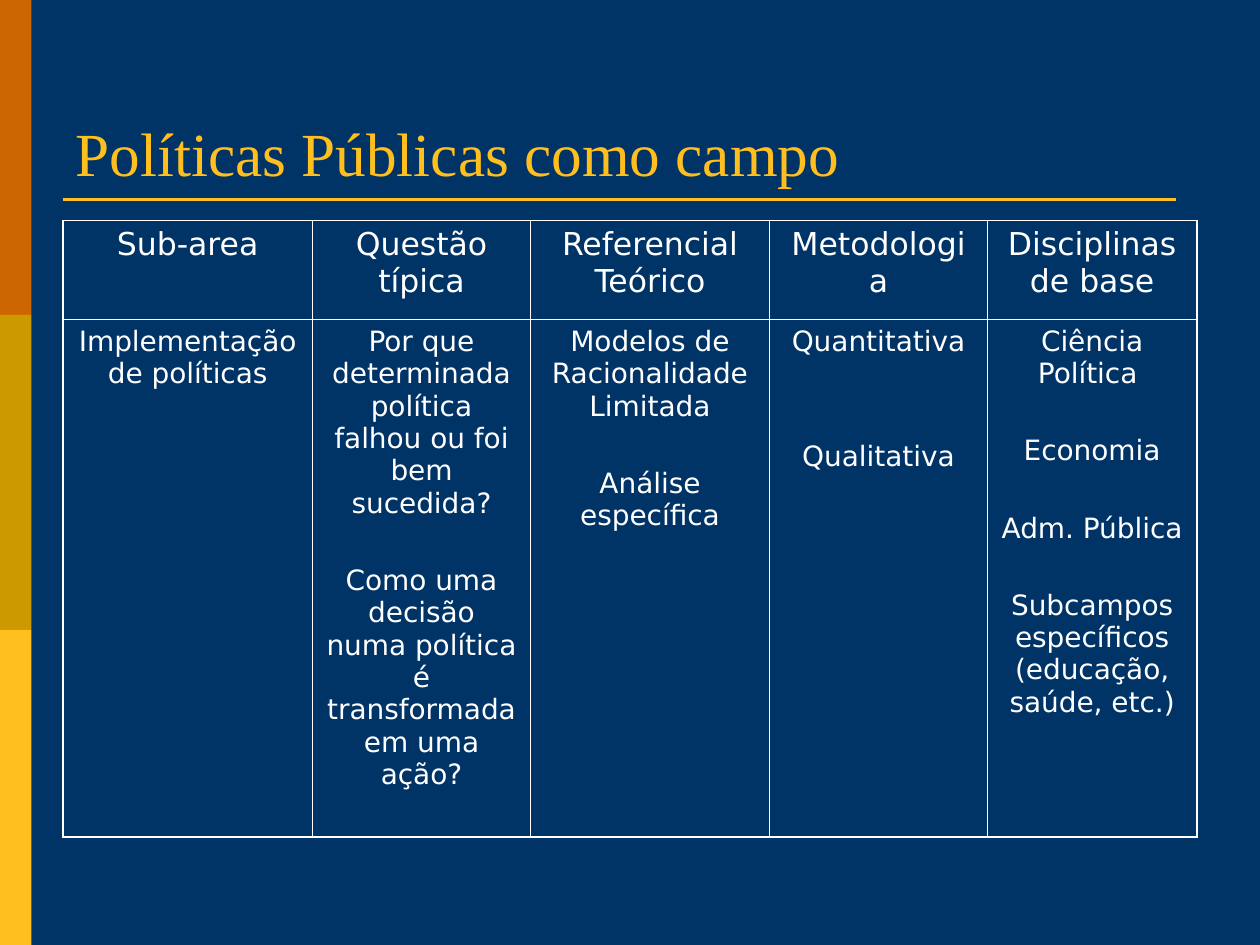
from lxml import etree
from pptx import Presentation
from pptx.dml.color import RGBColor
from pptx.enum.shapes import MSO_CONNECTOR, MSO_SHAPE
from pptx.enum.text import MSO_ANCHOR, PP_ALIGN
from pptx.oxml.ns import qn
from pptx.util import Pt

WHITE, GOLD = "FFFFFF", "FFBF1F"
THICK, THIN = 1.08, 0.45


def rgb(color):
    return RGBColor.from_string(color)


def add_border(cell, side, width):
    """Draw a white line on one side of a cell: L, R, T or B, in that order."""
    ln = etree.SubElement(cell._tc.get_or_add_tcPr(), qn(f"a:ln{side}"), w=str(Pt(width)))
    fill = etree.SubElement(ln, qn("a:solidFill"))
    etree.SubElement(fill, qn("a:srgbClr"), val=WHITE)


prs = Presentation()
prs.slide_width, prs.slide_height = Pt(720), Pt(540)
s = prs.slides.add_slide(prs.slide_layouts[6])
s.background.fill.solid()
s.background.fill.fore_color.rgb = rgb("003366")

# Side bands and title rule
for i, color in enumerate(["CC6600", "CC9900", GOLD]):
    sp = s.shapes.add_shape(MSO_SHAPE.RECTANGLE, 0, Pt(180 * i), Pt(18), Pt(180))
    sp.shadow.inherit = False
    sp.fill.solid()
    sp.fill.fore_color.rgb = rgb(color)
    sp.line.fill.background()

rule = s.shapes.add_connector(MSO_CONNECTOR.STRAIGHT, Pt(36), Pt(114), Pt(672), Pt(114))
rule.line.color.rgb = rgb(GOLD)
rule.line.width = Pt(1.5)
etree.SubElement(rule._element.spPr, qn("a:effectLst"))

# Title
tf = s.shapes.add_textbox(Pt(36), Pt(21.6), Pt(648), Pt(90)).text_frame
tf.word_wrap = True
tf.vertical_anchor = MSO_ANCHOR.BOTTOM
r = tf.paragraphs[0].add_run()
r.text = "Políticas Públicas como campo"
r.font.name, r.font.size = "Times New Roman", Pt(35)
r.font.color.rgb = rgb(GOLD)

# Table: each cell is a list of paragraphs
rows = [
    [["Sub-area"], ["Questão típica"], ["Referencial Teórico"], ["Metodologia"],
     ["Disciplinas de base"]],
    [["Implementação de políticas"],
     ["Por que determinada política falhou ou foi bem sucedida?",
      "Como uma decisão numa política é transformada em uma ação?"],
     ["Modelos de Racionalidade Limitada", "Análise específica"],
     ["Quantitativa", "Qualitativa"],
     ["Ciência Política ", "Economia", "Adm. Pública",
      "Subcampos específicos (educação, saúde, etc.)"]],
]
col_widths = [142.6, 124.6, 136.6, 124.6, 119.6]
row_heights = [56.5, 295.9]
sizes = [18, 16]
gaps = {"Qualitativa": 47}
last_row, last_col = len(rows) - 1, len(col_widths) - 1

table = s.shapes.add_table(len(rows), len(col_widths), Pt(36), Pt(126),
                           Pt(sum(col_widths)), Pt(sum(row_heights))).table
table.first_row = table.horz_banding = False
for col, width in zip(table.columns, col_widths):
    col.width = Pt(width)
for row, height in zip(table.rows, row_heights):
    row.height = Pt(height)

for i, row in enumerate(rows):
    for j, texts in enumerate(row):
        cell = table.cell(i, j)
        outer = {"L": j == 0, "R": j == last_col, "T": i == 0, "B": i == last_row}
        for side, is_outer in outer.items():
            add_border(cell, side, THICK if is_outer else THIN)
        cell.fill.background()
        tf = cell.text_frame
        for k, text in enumerate(texts):
            p = tf.add_paragraph() if k else tf.paragraphs[0]
            p.alignment = PP_ALIGN.CENTER
            if k:
                p.space_before = Pt(gaps.get(text, 25.6))
            r = p.add_run()
            r.text = text
            r.font.name, r.font.size = "DejaVu Sans", Pt(sizes[i])
            r.font.color.rgb = rgb(WHITE)

prs.save("out.pptx")
